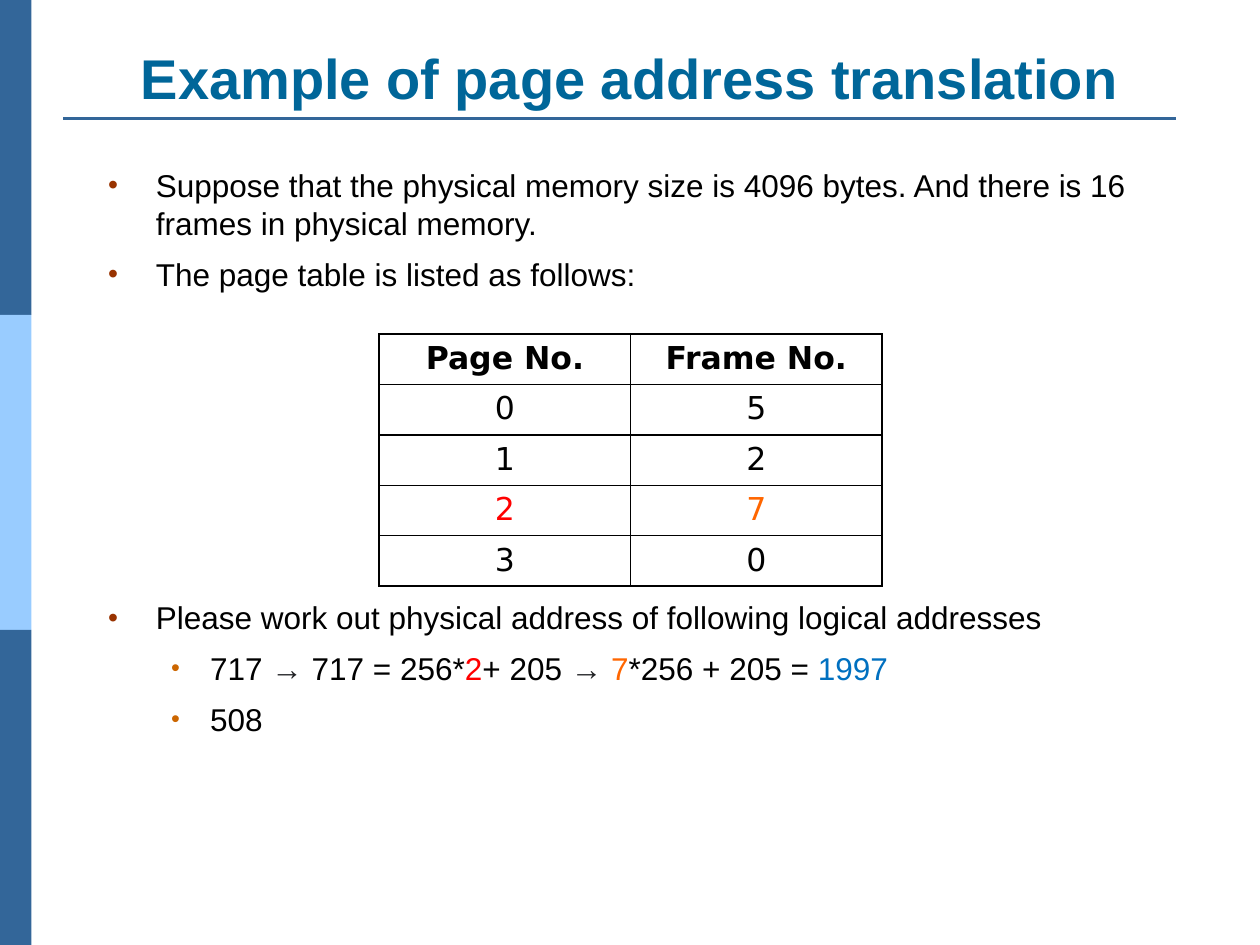
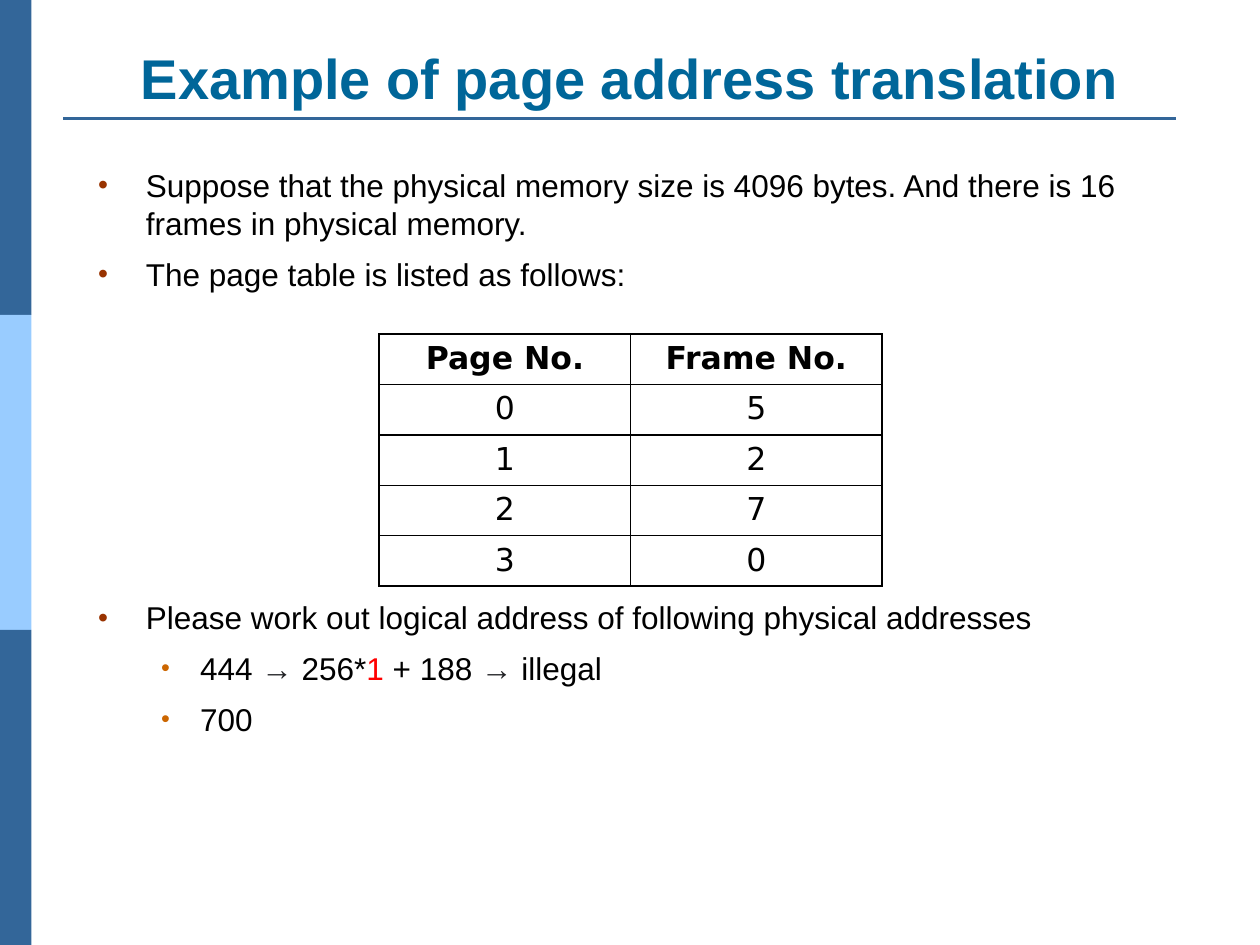
from dataclasses import dataclass

from lxml import etree
from pptx import Presentation
from pptx.dml.color import RGBColor
from pptx.enum import shapes, text
from pptx.oxml import ns
from pptx.util import Inches, Pt

# Shared colours and fonts
NAVY = RGBColor(0x33, 0x66, 0x99)
SKY = RGBColor(0x99, 0xCC, 0xFF)
TITLE_BLUE = RGBColor(0x00, 0x66, 0x99)
BLACK = RGBColor(0x00, 0x00, 0x00)
WHITE = RGBColor(0xFF, 0xFF, 0xFF)
ARROW_GREY = RGBColor(0x20, 0x21, 0x24)
PAGE_RED = RGBColor(0xFF, 0x00, 0x00)
FRAME_ORANGE = RGBColor(0xFF, 0x66, 0x00)
RESULT_BLUE = RGBColor(0x00, 0x70, 0xC0)
BULLET_BROWN = RGBColor(0x99, 0x33, 0x00)
BULLET_OCHRE = RGBColor(0xCC, 0x66, 0x00)
BODY_FONT = "Arial"
TABLE_FONT = "DejaVu Sans"
BODY_SIZE = Pt(18)

ITEM_GAP = Pt(7.4)
TABLE_GAP = Pt(174.7)  # room left in the list for the page table

TITLE = "Example of page address translation"
PAGE_TABLE = [("Page No.", "Frame No."), ("0", "5"), ("1", "2"), ("2", "7"), ("3", "0")]


@dataclass(frozen=True)
class Level:
    indent: float
    hanging: float
    bullet_color: RGBColor
    bullet_percent: int


LEVELS = [Level(0.38, 0.38, BULLET_BROWN, 90), Level(0.81, 0.31, BULLET_OCHRE, 80)]


@dataclass(frozen=True)
class Item:
    phrases: list[tuple[str, RGBColor]]
    level: int = 0
    gap: Pt = ITEM_GAP


@dataclass(frozen=True)
class Exercise:
    left: float
    question: str
    worked: list[tuple[str, RGBColor]]
    unsolved: str
    cell_colors: dict[tuple[int, int], RGBColor]


EXERCISES = [
    Exercise(
        0.76,
        "Please work out physical address of following logical addresses",
        [("717 ", BLACK), ("→", ARROW_GREY), (" 717 = 256*", BLACK), ("2", PAGE_RED),
         ("+ 205 ", BLACK), ("→ ", ARROW_GREY), ("7", FRAME_ORANGE),
         ("*256 + 205 = ", BLACK), ("1997", RESULT_BLUE)],
        "508",
        {(3, 0): PAGE_RED, (3, 1): FRAME_ORANGE},
    ),
    Exercise(
        0.68,
        "Please work out logical address of following physical addresses",
        [("444 ", BLACK), ("→", ARROW_GREY), (" 256*", BLACK), ("1", PAGE_RED),
         (" + 188 ", BLACK), ("→", ARROW_GREY), (" illegal", BLACK)],
        "700",
        {},
    ),
]


def style_font(font, name: str, size: Pt, color: RGBColor, bold: bool = False) -> None:
    font.name, font.size, font.bold = name, size, bold
    font.color.rgb = color


def add_frame(slide) -> None:
    """Draw the side bands, the title rule and the title."""
    for row, color in enumerate((NAVY, SKY, NAVY)):
        band = slide.shapes.add_shape(
            shapes.MSO_SHAPE.RECTANGLE, 0, Inches(2.5 * row), Inches(0.25), Inches(2.5))
        band.shadow.inherit = False
        band.fill.solid()
        band.fill.fore_color.rgb = color
        band.line.fill.background()

    rule = slide.shapes.add_connector(
        shapes.MSO_CONNECTOR.STRAIGHT, Inches(0.5), Inches(0.94), Inches(9.33), Inches(0.94))
    rule.line.color.rgb = NAVY
    rule.line.width = Pt(1.5)
    etree.SubElement(rule._element.spPr, ns.qn("a:effectLst"))

    heading = slide.shapes.add_textbox(Inches(0.5), Inches(0.3), Inches(9), Inches(0.63))
    frame = heading.text_frame
    frame.word_wrap = True
    frame.vertical_anchor = text.MSO_ANCHOR.BOTTOM
    frame.text = TITLE
    frame.paragraphs[0].alignment = text.PP_ALIGN.CENTER
    style_font(frame.paragraphs[0].runs[0].font, BODY_FONT, Pt(32), TITLE_BLUE, bold=True)


def set_bullet(paragraph, level: Level) -> None:
    props = paragraph._p.get_or_add_pPr()
    props.set("marL", str(Inches(level.indent)))
    props.set("indent", str(-Inches(level.hanging)))
    color = etree.SubElement(props, ns.qn("a:buClr"))
    etree.SubElement(color, ns.qn("a:srgbClr"), val=str(level.bullet_color))
    etree.SubElement(props, ns.qn("a:buSzPct"), val=str(level.bullet_percent * 1000))
    etree.SubElement(props, ns.qn("a:buFont"), typeface=BODY_FONT)
    etree.SubElement(props, ns.qn("a:buChar"), char="•")


def add_items(slide, left: float, items: list[Item]) -> None:
    body = slide.shapes.add_textbox(Inches(left), Inches(1.27), Inches(9), Inches(4.95))
    frame = body.text_frame
    frame.word_wrap = True
    for index, item in enumerate(items):
        paragraph = frame.add_paragraph() if index else frame.paragraphs[0]
        paragraph.level = item.level
        paragraph.space_before = item.gap
        set_bullet(paragraph, LEVELS[item.level])
        for words, color in item.phrases:
            run = paragraph.add_run()
            run.text = words
            style_font(run.font, BODY_FONT, BODY_SIZE, color)


def set_borders(cell) -> None:
    props = cell._tc.get_or_add_tcPr()
    for index, side in enumerate(("lnL", "lnR", "lnT", "lnB")):
        border = etree.Element(ns.qn(f"a:{side}"), w=str(Pt(1)))
        fill = etree.SubElement(border, ns.qn("a:solidFill"))
        etree.SubElement(fill, ns.qn("a:srgbClr"), val=str(BLACK))
        props.insert(index, border)


def add_page_table(slide, cell_colors: dict[tuple[int, int], RGBColor]) -> None:
    rows, columns = len(PAGE_TABLE), len(PAGE_TABLE[0])
    table = slide.shapes.add_table(
        rows, columns, Inches(3.01), Inches(2.65), Inches(3.99), Inches(0.39 * rows)).table
    for row, values in enumerate(PAGE_TABLE):
        for column, value in enumerate(values):
            cell = table.cell(row, column)
            cell.text_frame.text = value
            cell.fill.solid()
            cell.fill.fore_color.rgb = WHITE
            set_borders(cell)
            paragraph = cell.text_frame.paragraphs[0]
            paragraph.alignment = text.PP_ALIGN.CENTER
            color = cell_colors.get((row, column), BLACK)
            style_font(paragraph.runs[0].font, TABLE_FONT, BODY_SIZE, color, bold=row == 0)


def add_exercise(deck, exercise: Exercise) -> None:
    slide = deck.slides.add_slide(deck.slide_layouts[6])
    add_frame(slide)
    # The space inside "16 frames" does not break
    add_items(slide, exercise.left, [
        Item([("Suppose that the physical memory size is 4096 bytes. "
               "And there is 16 frames in physical memory.", BLACK)], gap=Pt(0)),
        Item([("The page table is listed as follows:", BLACK)]),
        Item([(exercise.question, BLACK)], gap=TABLE_GAP),
        Item(exercise.worked, level=1),
        Item([(exercise.unsolved, BLACK)], level=1),
    ])
    add_page_table(slide, exercise.cell_colors)


def main() -> None:
    deck = Presentation()
    deck.slide_width, deck.slide_height = Inches(10), Inches(7.5)
    for exercise in EXERCISES:
        add_exercise(deck, exercise)
    deck.save("out.pptx")


if __name__ == "__main__":
    main()
